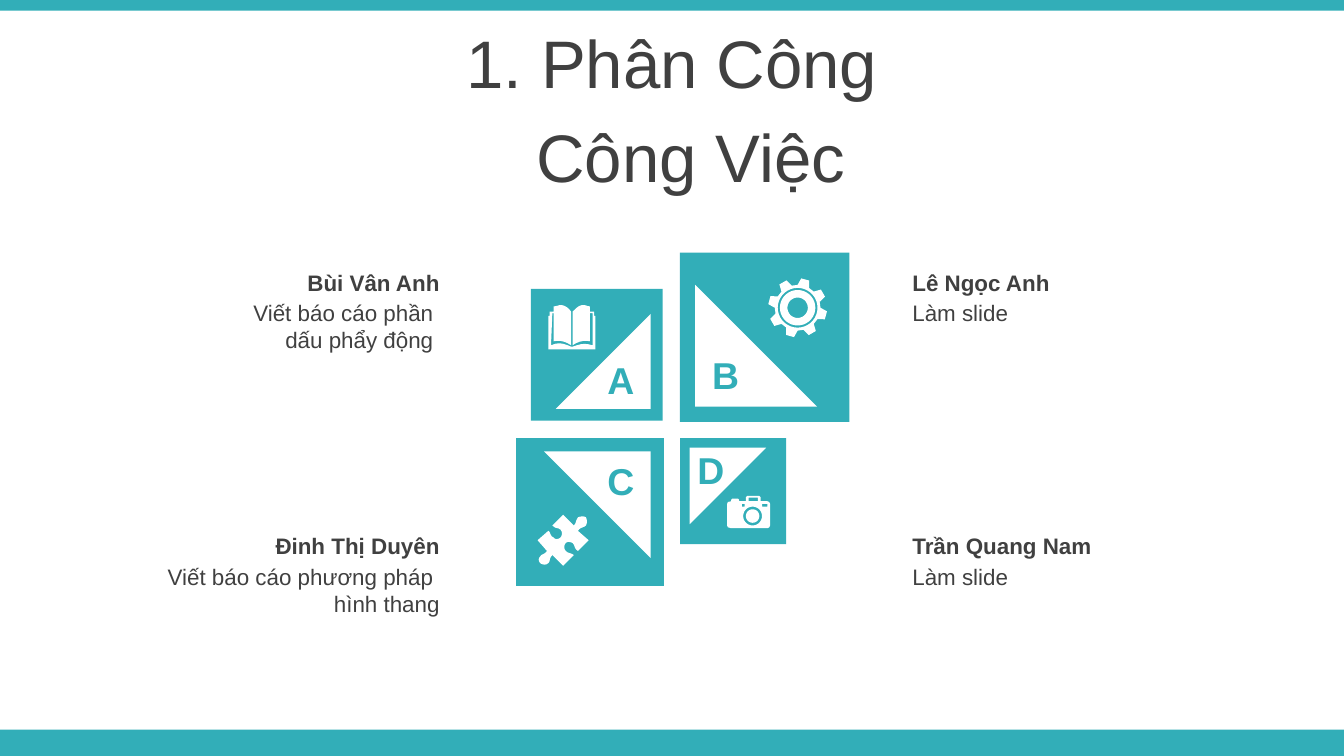
from math import cos, radians, sin

from pptx import Presentation
from pptx.dml.color import RGBColor
from pptx.enum.shapes import MSO_SHAPE
from pptx.enum.text import MSO_ANCHOR, PP_ALIGN
from pptx.util import Inches, Pt

TEAL = RGBColor(0x32, 0xAE, 0xB8)
WHITE = RGBColor(0xFF, 0xFF, 0xFF)
DARK = RGBColor(0x40, 0x40, 0x40)
LEFT, CENTER, RIGHT = PP_ALIGN.LEFT, PP_ALIGN.CENTER, PP_ALIGN.RIGHT
MIDDLE = MSO_ANCHOR.MIDDLE
RECTANGLE, TRIANGLE = MSO_SHAPE.RECTANGLE, MSO_SHAPE.RIGHT_TRIANGLE

BOOK = [
    (17, 31), (18, 31), (24, 29, 27, 28, 33, 30), (33, 6), (31, 6), (31, 27),
    (27, 26, 22, 27, 18, 30), (18, 5), (21, 2, 23, 0, 26, 0), (28, 0, 29, 1, 31, 1),
    (31, 5), (34, 5), (34, 8), (35, 8), (35, 33), (0, 33), (0, 8), (1, 8), (1, 5),
    (4, 5), (4, 1), (6, 1, 8, 0, 9, 0), (12, 0, 15, 2, 17, 5), (17, 30),
    (13, 27, 8, 26, 4, 27), (4, 6), (3, 6), (2, 30), (8, 27, 12, 29, 17, 31),
]
PUZZLE = [
    (36, 2), (37, 4, 37, 6, 36, 8), (34, 10, 32, 9, 30, 12), (38, 19), (30, 27),
    (27, 25, 28, 23, 26, 21), (24, 20, 22, 20, 21, 21), (20, 22, 19, 25, 21, 27),
    (23, 29, 24, 28, 27, 30), (19, 38), (11, 30), (8, 33, 10, 34, 8, 36),
    (6, 38, 3, 37, 2, 36), (1, 35, 0, 33, 2, 31), (3, 29, 5, 30, 7, 27), (0, 19),
    (8, 12), (10, 13, 9, 16, 12, 17), (13, 19, 16, 18, 17, 17),
    (18, 16, 19, 13, 17, 11), (14, 9, 14, 11, 11, 8), (19, 0), (27, 8),
    (29, 6, 28, 5, 30, 2), (32, 1, 35, 1, 36, 2),
]
CAMERA_BODY = [
    (15, 0), (24, 0), (25, 1), (25, 4), (30, 4), (31.4, 4.6), (32, 6), (32, 22),
    (31.4, 23.4), (30, 24), (3, 24), (0.6, 23.4), (0, 22), (0, 6), (0.6, 4.6), (3, 4),
    (3, 3), (4, 2), (8, 2), (9, 3), (9, 4), (14, 4), (14, 1),
]


def curved(steps):
    """Turn points and cubic curve steps into a list of points."""
    points = []
    for step in steps:
        if len(step) == 2:
            points.append(step)
            continue
        controls = [points[-1], step[:2], step[2:4], step[4:]]
        for t in (0.2, 0.4, 0.6, 0.8, 1):
            weights = ((1 - t) ** 3, 3 * t * (1 - t) ** 2, 3 * t * t * (1 - t), t ** 3)
            points.append(tuple(sum(w * c[axis] for w, c in zip(weights, controls))
                                for axis in (0, 1)))
    return points


def polar(center_x, center_y, radius, degrees):
    """Return the point at an angle around a center."""
    angle = radians(degrees)
    return center_x + radius * cos(angle), center_y + radius * sin(angle)


def circle(center_x, center_y, radius):
    """Return the points of a circle."""
    return [polar(center_x, center_y, radius, angle) for angle in range(0, 360, 10)]


def box(left, top, right, bottom):
    """Return the corners of a rectangle."""
    return [(left, top), (right, top), (right, bottom), (left, bottom)]


def gear():
    """Return the outlines of an eight-toothed gear."""
    teeth = [polar(21.5, 22, radius, 285 + 45 * tooth + offset)
             for tooth in range(8)
             for radius, offset in ((17, -15), (22, -8), (22, 8), (17, 15))]
    return [teeth] + [circle(21.5, 22, radius) for radius in (14.8, 13.2, 7.6)]


def camera():
    """Return the outlines of a camera."""
    return [CAMERA_BODY, circle(19, 15, 7), circle(19, 15, 5),
            box(11, 6, 13, 8), box(26, 6, 30, 8), box(16, 1.4, 23, 4)]


def format_shape(shape, color):
    """Give a shape a flat fill without line or shadow."""
    shape.fill.solid()
    shape.fill.fore_color.rgb = color
    shape.line.fill.background()
    shape.shadow.inherit = False


def add_flat(shapes, kind, left, top, width, height, color):
    """Add a flat preset shape."""
    shape = shapes.add_shape(kind, Inches(left), Inches(top), Inches(width), Inches(height))
    format_shape(shape, color)
    return shape


def add_icon(shapes, left, top, outlines):
    """Draw white outlines, given in hundredths of an inch, at a position."""
    contours = [[(Inches(left + x / 100), Inches(top + y / 100)) for x, y in outline]
                for outline in outlines]
    builder = shapes.build_freeform(*contours[0][0], scale=1.0)
    builder.add_line_segments(contours[0][1:], close=True)
    for contour in contours[1:]:
        builder.move_to(*contour[0])
        builder.add_line_segments(contour[1:], close=True)
    format_shape(builder.convert_to_shape(), WHITE)


def set_text(shape, lines, size, color=DARK, align=CENTER, bold=False):
    """Write formatted lines into a shape."""
    frame = shape.text_frame
    frame.word_wrap = True
    frame.text = "\n".join(lines)
    for paragraph in frame.paragraphs:
        paragraph.alignment = align
        font = paragraph.font
        font.name, font.size, font.bold = "Arial", Pt(size), bold
        font.color.rgb = color


def add_text(shapes, left, top, width, height, lines, size, **style):
    """Add a text box with formatted lines."""
    shape = shapes.add_textbox(Inches(left), Inches(top), Inches(width), Inches(height))
    set_text(shape, lines, size, **style)
    return shape


def add_heading(slide, left, top, width):
    """Place the title and its second line."""
    title = slide.shapes.title
    title.left, title.top = Inches(left), Inches(top)
    title.width, title.height = Inches(width), Inches(0.63)
    set_text(title, ["1. Phân Công"], 36)
    title.text_frame.vertical_anchor = MIDDLE
    second = add_text(slide.shapes, left, top + 0.78, width, 0.47, ["Công Việc"], 36)
    second.text_frame.margin_left = Inches(0.38)
    second.text_frame.vertical_anchor = MIDDLE


def add_tile(slide, left, top, size, rotation, letter, letter_at, icon_at, outlines):
    """Place a square tile with its triangle, icon and letter."""
    shapes = slide.shapes.add_group_shape().shapes
    add_flat(shapes, RECTANGLE, left, top, size, size, TEAL)
    side, inset = 0.72 * size, 0.09 * size
    far = size - side - inset
    triangle_left = left + (far if rotation in (180, 270) else inset)
    triangle_top = top + (far if rotation in (0, 270) else inset)
    triangle = add_flat(shapes, TRIANGLE, triangle_left, triangle_top, side, side, WHITE)
    triangle.rotation = rotation
    add_icon(shapes, left + icon_at[0], top + icon_at[1], outlines)
    add_text(shapes, left + letter_at[0], top + letter_at[1], 0.44, 0.44, [letter], 20,
             color=TEAL, bold=True)


def add_member(slide, left, top, align, name, tasks):
    """Place a member's name above the assigned tasks."""
    shapes = slide.shapes.add_group_shape().shapes
    add_text(shapes, left, top + 0.23, 2.78, 0.12 + 0.19 * len(tasks), tasks, 12, align=align)
    add_text(shapes, left, top, 2.78, 0.3, [name], 12, align=align, bold=True)


def build():
    """Build the work assignment slide."""
    presentation = Presentation()
    presentation.slide_width = Inches(10)
    presentation.slide_height = presentation.slide_width * 9 // 16
    slide = presentation.slides.add_slide(presentation.slide_layouts[5])
    for top, height in ((5.43, 0.2), (0, 0.08)):
        add_flat(slide.shapes, RECTANGLE, 0, top, 10, height, TEAL)
    add_heading(slide, 0, 0.14, 10)
    add_tile(slide, 3.95, 2.15, 0.98, 270, "A", (0.45, 0.46), (0.13, 0.12), [curved(BOOK)])
    add_tile(slide, 5.06, 1.88, 1.26, 0, "B", (0.12, 0.69), (0.66, 0.19), gear())
    add_tile(slide, 3.84, 3.26, 1.1, 180, "C", (0.56, 0.1), (0.16, 0.57), [curved(PUZZLE)])
    add_tile(slide, 5.06, 3.26, 0.79, 90, "D", (0.01, 0.02), (0.35, 0.43), camera())
    members = (
        (0.59, 1.95, RIGHT, "Bùi Vân Anh", ["Viết báo cáo phần ", "dấu phẩy động "]),
        (0.59, 3.91, RIGHT, "Đinh Thị Duyên", ["Viết báo cáo phương pháp ", "hình thang"]),
        (6.69, 1.95, LEFT, "Lê Ngọc Anh", ["Làm slide"]),
        (6.69, 3.91, LEFT, "Trần Quang Nam", ["Làm slide"]),
    )
    for member in members:
        add_member(slide, *member)
    presentation.save("out.pptx")


build()
